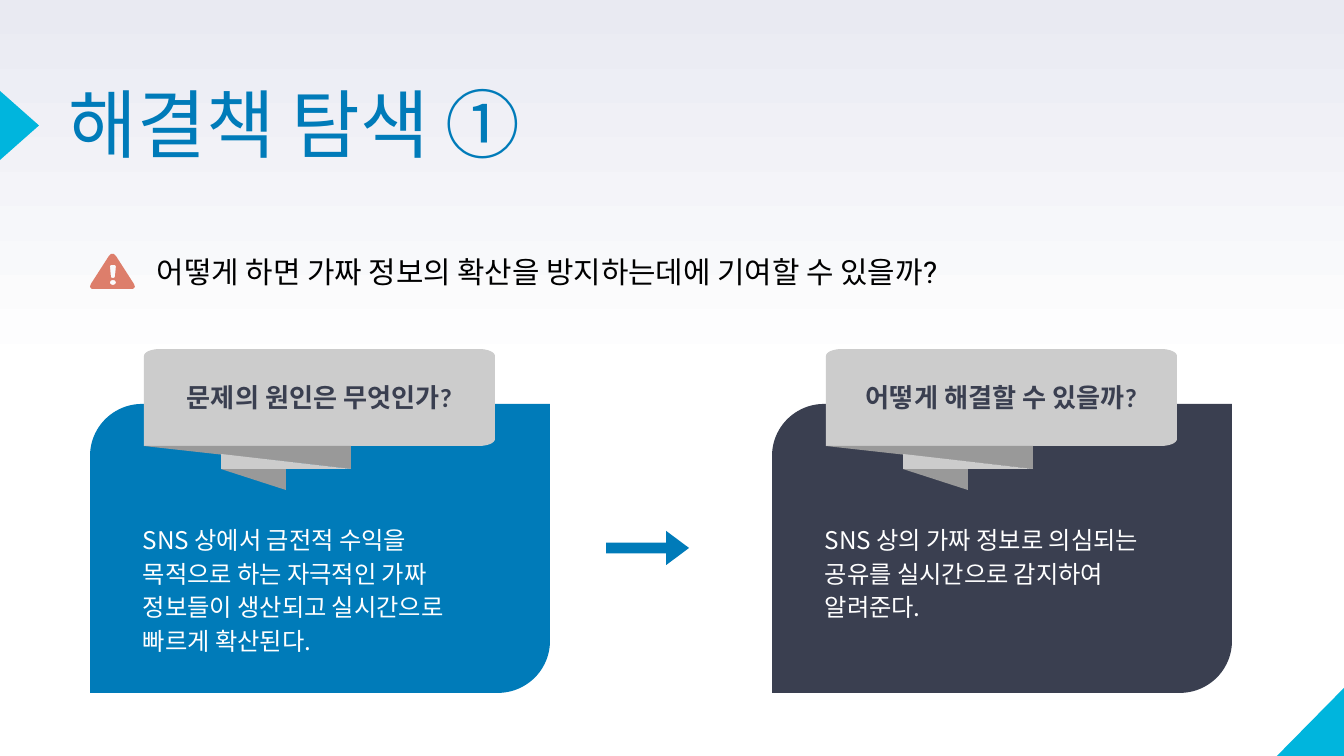
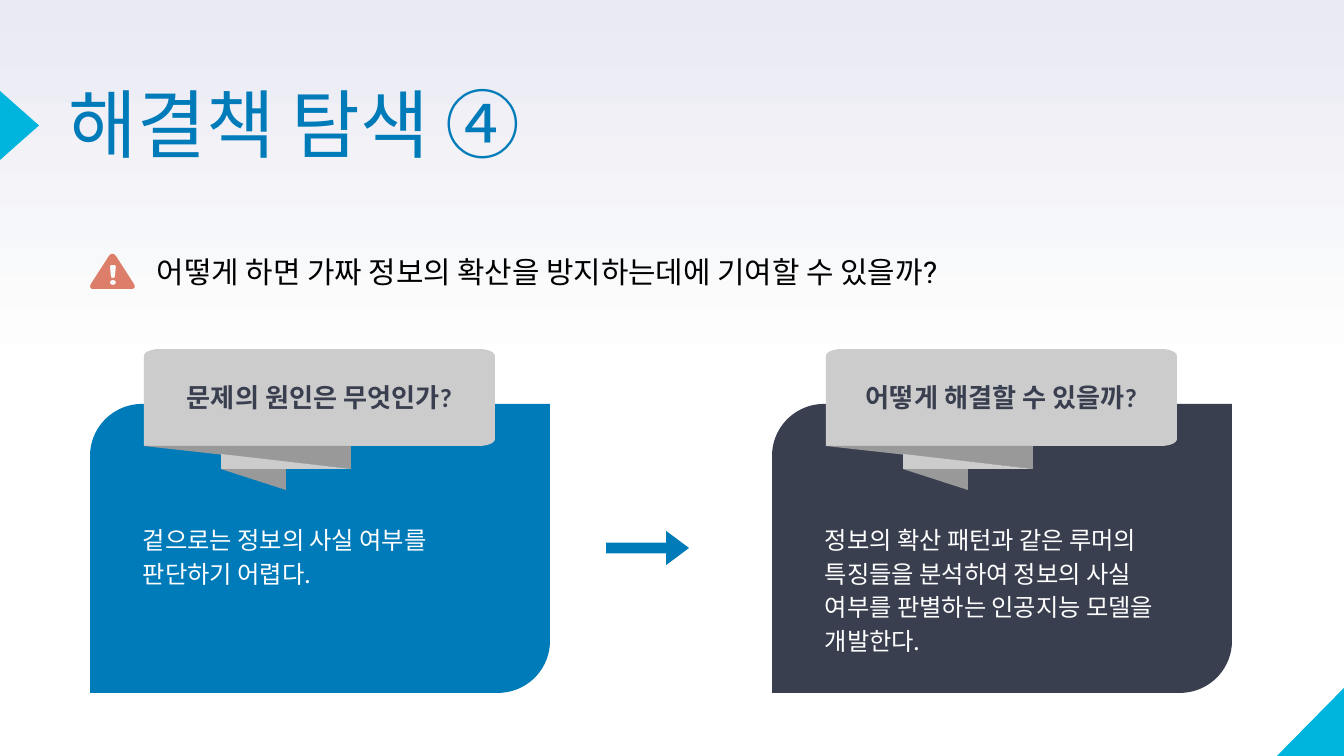
from math import cos, pi, sin

from pptx import Presentation
from pptx.dml.color import RGBColor
from pptx.enum.shapes import MSO_SHAPE
from pptx.enum.text import MSO_ANCHOR, PP_ALIGN
from pptx.util import Pt

PX = 914400 / 134.4
WHITE, BLACK, LAVENDER = "FFFFFF", "000000", "E9EAF2"
BLUE, NAVY, CYAN, CORAL = "007BB9", "3A3F50", "00B5DD", "DD7E6B"
SILVER, GREY = "CCCCCC", "999999"

QUESTION = "어떻게 하면 가짜 정보의 확산을 방지하는데에 기여할 수 있을까?"
CAUSE, REMEDY = "문제의 원인은 무엇인가?", "어떻게 해결할 수 있을까?"
SLIDES = [
    ("해결책 탐색 ➀",
     "SNS 상에서 금전적 수익을 목적으로 하는 자극적인 가짜 정보들이 생산되고 실시간으로 빠르게 확산된다.",
     "SNS 상의 가짜 정보로 의심되는 공유를 실시간으로 감지하여 알려준다."),
    ("해결책 탐색 ➃",
     "겉으로는 정보의 사실 여부를 판단하기 어렵다.",
     "정보의 확산 패턴과 같은 루머의 특징들을 분석하여 정보의 사실 여부를 판별하는 인공지능 모델을 개발한다."),
]


def px(*values):
    return [round(v * PX) for v in values]


def rgb(color):
    return RGBColor.from_string(color)


def paint(sp, color):
    sp.shadow.inherit = False
    sp.fill.solid()
    sp.fill.fore_color.rgb = rgb(color)
    sp.line.fill.background()
    return sp


def shape(s, kind, box, color, adjustments=()):
    sp = paint(s.shapes.add_shape(kind, *px(*box)), color)
    for i, value in enumerate(adjustments):
        sp.adjustments[i] = value
    return sp


def outline(s, x, y, contours, color):
    """Fill one freeform; contours after the first cut holes."""
    first, *holes = [[px(x + dx, y + dy) for dx, dy in c] for c in contours]
    builder = s.shapes.build_freeform(*first[0])
    builder.add_line_segments(first[1:])
    for hole in holes:
        builder.move_to(*hole[0])
        builder.add_line_segments(hole[1:])
    return paint(builder.convert_to_shape(), color)


def arc(cx, cy, rx, ry, start, sweep=90, steps=8):
    angles = [(start + sweep * i / steps) * pi / 180 for i in range(steps + 1)]
    return [(cx + rx * cos(a), cy + ry * sin(a)) for a in angles]


def write(sp, text, font, size, color, bold=None, insets=(13, 13)):
    tf = sp.text_frame
    tf.word_wrap = True
    tf.margin_left = tf.margin_right = px(insets[0])[0]
    tf.margin_top = tf.margin_bottom = px(insets[1])[0]
    p = tf.paragraphs[0]
    p.text = text
    p.font.name, p.font.size, p.font.bold = font, Pt(size), bold
    p.font.color.rgb = rgb(color)
    return p


def set_master(prs, s):
    """Give the master its background and the two cyan triangles."""
    fill = prs.slide_master.background.fill
    fill.gradient()
    fill.gradient_angle = 90
    for stop, position, color in zip(fill.gradient_stops, (0.5, 1), (WHITE, LAVENDER)):
        stop.position = position
        stop.color.rgb = rgb(color)
    corner = shape(s, MSO_SHAPE.RIGHT_TRIANGLE, (1277, 687, 68, 69), CYAN)
    corner._element.spPr.xfrm.set("flipH", "1")
    marker = shape(s, MSO_SHAPE.ISOSCELES_TRIANGLE, (-15, 106, 69, 39), CYAN)
    marker.rotation = 90
    for number, sp in enumerate((corner, marker), 101):
        sp._element.nvSpPr.cNvPr.set("id", str(number))
        prs.slide_master.shapes._spTree.append(sp._element)


def add_title(s, text):
    title = s.shapes.title
    title.left, title.top, title.width, title.height = px(69, 95, 895, 79)
    p = write(title, text, "Roboto", 40, BLUE, insets=(0, 0))
    title.text_frame.vertical_anchor = MSO_ANCHOR.TOP
    p.alignment = PP_ALIGN.LEFT
    p.line_spacing = 0.8


def add_question(s, x, y):
    triangle = [(21, 0), (19, 2), (1, 30), (0, 33), (2, 35),
                (43, 35), (45, 33), (44, 30), (26, 2), (24, 0)]
    bar = [(21, 11), (25, 11), (26, 12), (25, 23), (24, 24), (22, 24), (21, 23), (20, 12)]
    dot = arc(23, 28.5, 3, 2.5, 0, 360, 16)
    outline(s, x, y, [triangle, bar, dot], CORAL)
    box = s.shapes.add_textbox(*px(x + 54, y - 13, 1094, 62))
    write(box, QUESTION, "Roboto", 16, BLACK)


def add_ribbon(s, x, y, heading):
    """Draw a heading plate with its folded tail underneath."""
    w, h, rx, ry = 351, 97, 16, 7
    plate = [(0, h), *arc(rx, ry, rx, ry, 180), *arc(w - rx, ry, rx, ry, 270),
             *arc(w - rx, h - ry, rx, ry, 0)]
    sp = outline(s, x, y, [plate], SILVER)
    write(sp, heading, "Calibri", 14, NAVY, True, (9, 5)).alignment = PP_ALIGN.CENTER
    sp.text_frame.vertical_anchor = MSO_ANCHOR.MIDDLE
    for fold, color in (
        ([(0, 0), (207, 0), (207, 23)], GREY),
        ([(77, 8), (207, 23), (77, 23)], SILVER),
        ([(77, 23), (142, 23), (142, 44)], GREY),
    ):
        outline(s, x, y + h, [fold], color)


def add_card(s, x, y, color, heading, body):
    shape(s, MSO_SHAPE.ROUND_2_DIAG_RECTANGLE, (x, y, 460, 289), color, (0.18, 0))
    box = s.shapes.add_textbox(*px(x + 40, y + 104, 380, 79))
    p = write(box, body, "Noto Sans CJK KR", 13, WHITE)
    p.line_spacing, p.space_after = 1.15, Pt(16)
    add_ribbon(s, x + 54, y - 55, heading)


def add_solution_slide(s, title, cause, remedy):
    add_title(s, title)
    add_question(s, 90, 254)
    add_card(s, 90, 404, BLUE, CAUSE, cause)
    shape(s, MSO_SHAPE.RIGHT_ARROW, (606, 531, 83, 34), BLUE, (0.32, 0.67))
    add_card(s, 772, 404, NAVY, REMEDY, remedy)


def main():
    prs = Presentation()
    prs.slide_width, prs.slide_height = px(1344, 756)
    slides = [prs.slides.add_slide(prs.slide_layouts[5]) for _ in SLIDES]
    set_master(prs, slides[0])
    for s, texts in zip(slides, SLIDES):
        add_solution_slide(s, *texts)
    prs.save("out.pptx")


if __name__ == "__main__":
    main()
